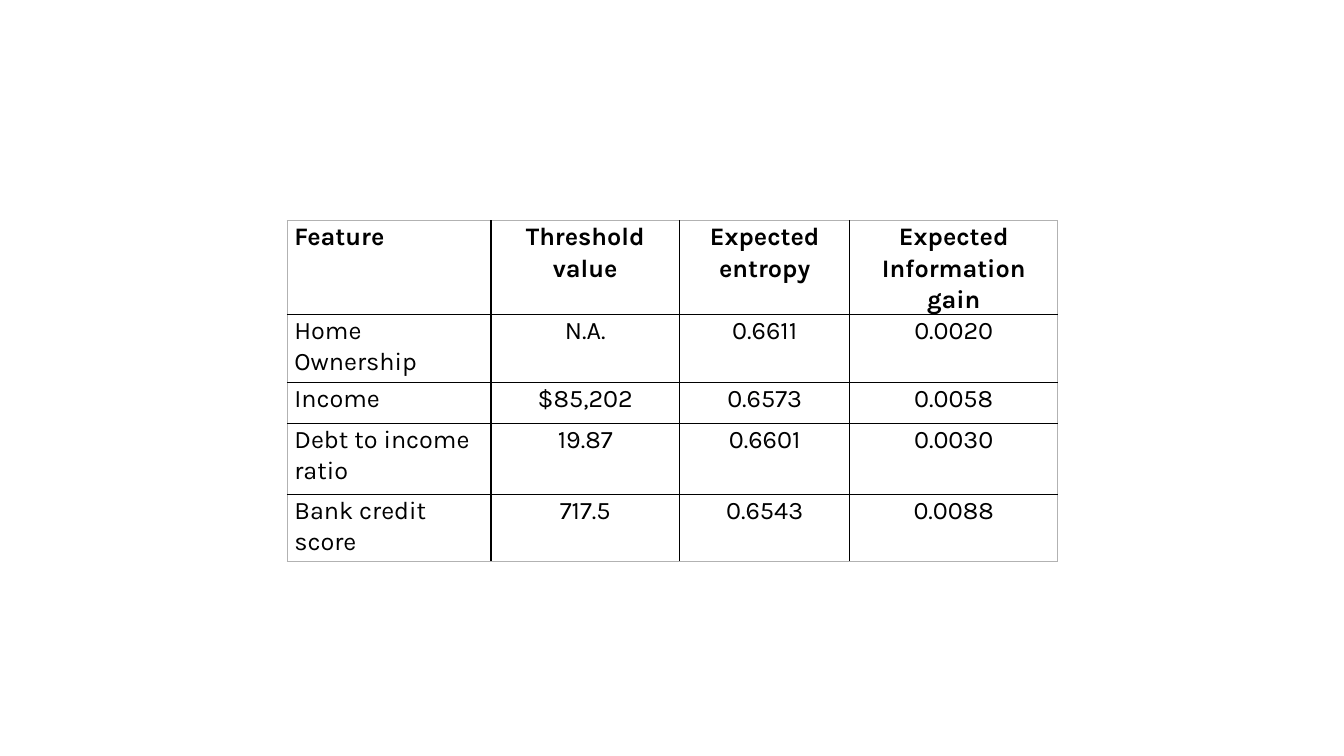
from dataclasses import dataclass

from lxml import etree
from pptx import Presentation
from pptx.dml.color import RGBColor
from pptx.enum.text import PP_ALIGN
from pptx.oxml.ns import qn
from pptx.table import _Cell
from pptx.util import Inches, Pt

LEFT = PP_ALIGN.LEFT
CENTER = PP_ALIGN.CENTER
BLACK = RGBColor(0x00, 0x00, 0x00)
GRAY = RGBColor(0xB2, 0xB2, 0xB2)
FONT = "Karla"


@dataclass
class Column:
    heading: str
    width: float
    alignment: PP_ALIGN = CENTER


@dataclass
class FeatureRow:
    height: float
    values: tuple[str, ...]


COLUMNS = [
    Column("Feature", 2.02, LEFT),
    Column("Threshold value", 1.87),
    Column("Expected entropy", 1.69),
    Column("Expected Information gain", 2.06),
]
ROWS = [
    FeatureRow(0.67, tuple(column.heading for column in COLUMNS)),
    FeatureRow(0.67, ("Home Ownership", "N.A.", "0.6611", "0.0020")),
    FeatureRow(0.41, ("Income", "$85,202", "0.6573", "0.0058")),
    FeatureRow(0.70, ("Debt to income ratio", "19.87", "0.6601", "0.0030")),
    FeatureRow(0.67, ("Bank credit score", "717.5", "0.6543", "0.0088")),
]


def add_borders(cell: _Cell, row_index: int, column_index: int) -> None:
    """Draw gray lines on the table's outer edge and black lines inside."""
    outer_sides = {
        "a:lnL": column_index == 0,
        "a:lnR": column_index == len(COLUMNS) - 1,
        "a:lnT": row_index == 0,
        "a:lnB": row_index == len(ROWS) - 1,
    }
    properties = cell._tc.get_or_add_tcPr()
    for position, (side, is_outer) in enumerate(outer_sides.items()):
        line = etree.Element(qn(side), w=str(Pt(1)))
        fill = etree.SubElement(line, qn("a:solidFill"))
        etree.SubElement(fill, qn("a:srgbClr"), val=str(GRAY if is_outer else BLACK))
        properties.insert(position, line)


def fill_cell(cell: _Cell, text: str, alignment: PP_ALIGN, bold: bool) -> None:
    cell.margin_left = cell.margin_right = Inches(0.07)
    cell.margin_top = cell.margin_bottom = 0
    cell.fill.background()
    cell.text_frame.text = text
    paragraph = cell.text_frame.paragraphs[0]
    paragraph.alignment = alignment
    paragraph.line_spacing = 1.06
    font = paragraph.runs[0].font
    font.name = FONT
    font.size = Pt(18)
    font.bold = bold
    font.color.rgb = BLACK


def main() -> None:
    presentation = Presentation()
    presentation.slide_width = Inches(13.33)
    presentation.slide_height = Inches(7.5)
    slide = presentation.slides.add_slide(presentation.slide_layouts[6])
    table = slide.shapes.add_table(
        len(ROWS), len(COLUMNS), Inches(2.85), Inches(2.19),
        Inches(sum(column.width for column in COLUMNS)),
        Inches(sum(row.height for row in ROWS)),
    ).table
    for column_index, column in enumerate(COLUMNS):
        table.columns[column_index].width = Inches(column.width)
    for row_index, row in enumerate(ROWS):
        table.rows[row_index].height = Inches(row.height)
        for column_index, (column, value) in enumerate(zip(COLUMNS, row.values)):
            cell = table.cell(row_index, column_index)
            fill_cell(cell, value, column.alignment, bold=row_index == 0)
            add_borders(cell, row_index, column_index)
    presentation.save("out.pptx")


if __name__ == "__main__":
    main()
